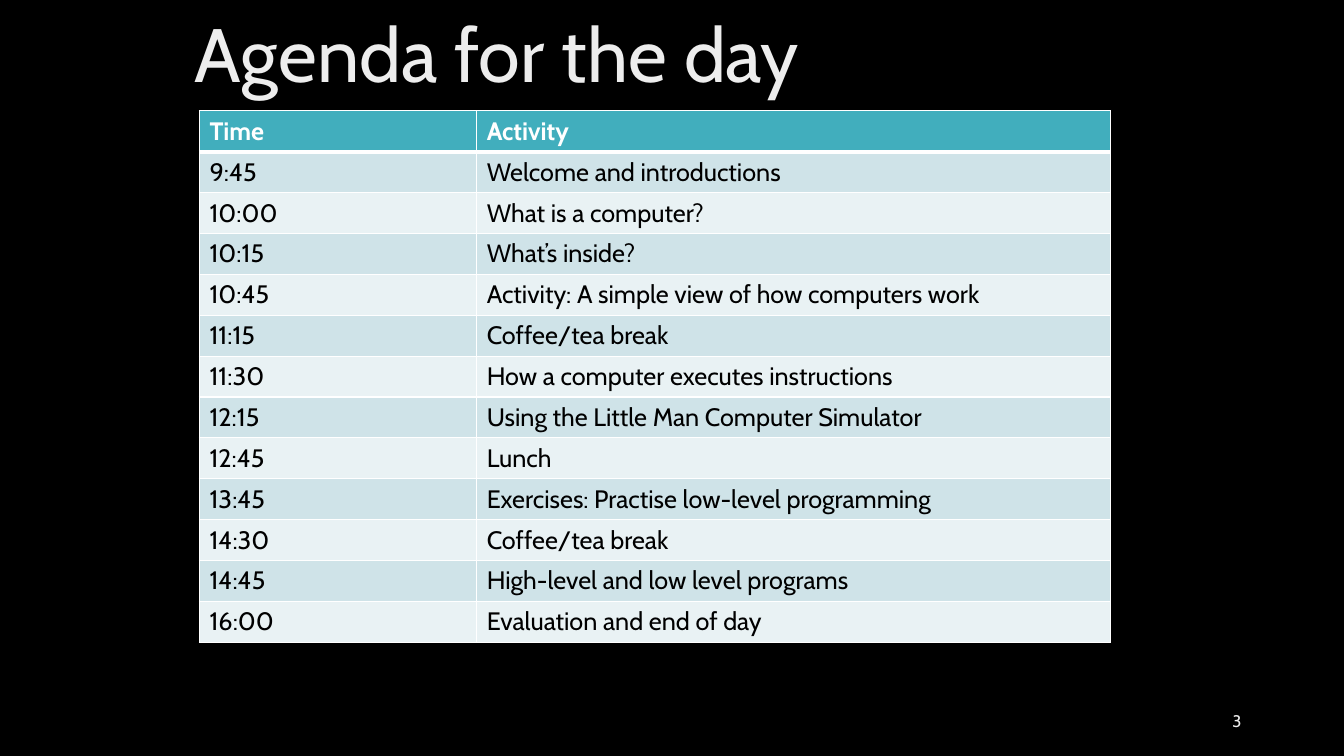
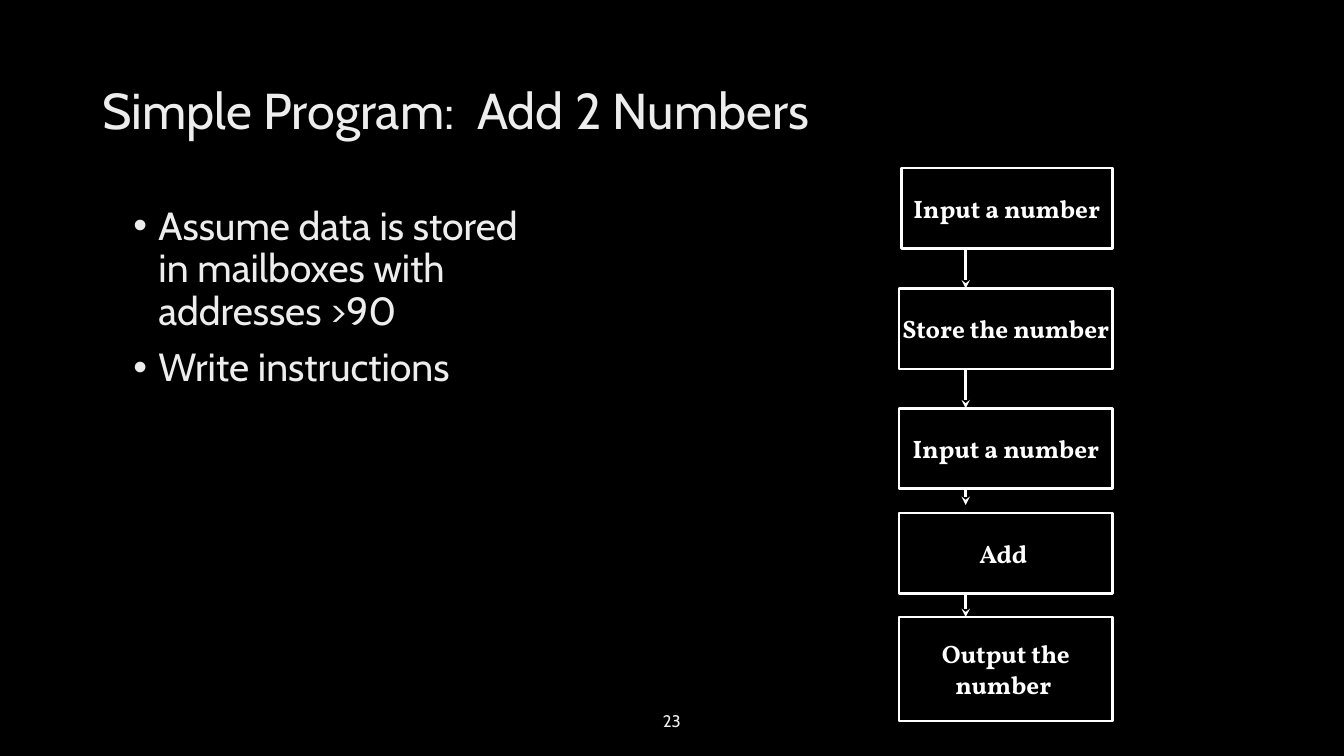
"""Build the agenda slide and the simple program slide."""
from pptx import Presentation
from pptx.dml.color import RGBColor
from pptx.enum.shapes import MSO_CONNECTOR, MSO_SHAPE
from pptx.enum.text import MSO_ANCHOR, MSO_AUTO_SIZE, PP_ALIGN
from pptx.oxml.ns import qn
from pptx.util import Pt
from lxml.etree import SubElement

BLACK = RGBColor(0, 0, 0)
WHITE = RGBColor(255, 255, 255)
PALE = RGBColor(0xED, 0xED, 0xED)
TEAL = RGBColor(0x41, 0xAE, 0xBD)
BAND_DARK = RGBColor(0xCF, 0xE3, 0xE8)
BAND_LIGHT = RGBColor(0xE9, 0xF2, 0xF4)
SANS, SERIF = "Cabin", "Vollkorn"


class Deck:
    """Hold the shared style and the current slide."""

    def __init__(self):
        """Set the slide size and the black background."""
        self.prs = Presentation()
        self.prs.slide_width, self.prs.slide_height = Pt(960), Pt(540)
        fill = self.prs.slide_master.background.fill
        fill.solid()
        fill.fore_color.rgb = BLACK

    def add_slide(self, layout):
        """Start a new slide."""
        self.s = self.prs.slides.add_slide(self.prs.slide_layouts[layout])

    def place(self, sp, x, y, w, h):
        """Move and size a placeholder."""
        sp.left, sp.top, sp.width, sp.height = Pt(x), Pt(y), Pt(w), Pt(h)
        sp.text_frame.auto_size = MSO_AUTO_SIZE.NONE

    def style(self, tf, size, color=PALE, font=SANS, bold=False, align=PP_ALIGN.LEFT):
        """Format every paragraph and run of a text frame."""
        for p in tf.paragraphs:
            p.alignment = align
            for r in p.runs:
                r.font.name, r.font.size, r.font.bold = font, Pt(size), bold
                r.font.color.rgb = color

    def title(self, text, x, y, size):
        """Fill the title placeholder."""
        sp = self.s.shapes.title
        self.place(sp, x, y, 828, 104.4)
        tf = sp.text_frame
        tf.text = text
        tf.vertical_anchor = MSO_ANCHOR.MIDDLE
        tf.paragraphs[0].line_spacing = 0.9
        self.style(tf, size)

    def bullets(self, items, x, y, w, h):
        """Fill the body placeholder with a bulleted list."""
        sp = self.s.placeholders[1]
        self.place(sp, x, y, w, h)
        tf = sp.text_frame
        tf.text = "\n".join(items)
        for p in tf.paragraphs:
            p.line_spacing, p.space_before = 0.9, Pt(10)
            pPr = p._p.get_or_add_pPr()
            pPr.set("marL", str(Pt(18)))
            pPr.set("indent", str(Pt(-18)))
            SubElement(pPr, qn("a:buFont"), typeface="Arial")
            SubElement(pPr, qn("a:buChar"), char="•")
        self.style(tf, 28)

    def number(self, text, x, w, align):
        """Write the slide number at the foot."""
        tf = self.s.shapes.add_textbox(Pt(x), Pt(500.4), Pt(w), Pt(28.8)).text_frame
        tf.word_wrap = True
        tf.text = text
        tf.vertical_anchor = MSO_ANCHOR.MIDDLE
        self.style(tf, 12, align=align)

    def border(self, cell, side, width):
        """Draw one white cell border."""
        ln = SubElement(cell._tc.get_or_add_tcPr(), qn("a:ln" + side), w=str(Pt(width)))
        fill = SubElement(ln, qn("a:solidFill"))
        SubElement(fill, qn("a:srgbClr"), val=str(WHITE))

    def table(self, rows, x, y, widths, row_height):
        """Add a table with a header row and banded rows."""
        tbl = self.s.shapes.add_table(len(rows), len(widths), Pt(x), Pt(y), Pt(sum(widths)),
                                      Pt(row_height * len(rows))).table
        for column, width in zip(tbl.columns, widths):
            column.width = Pt(width)
        for i, row in enumerate(rows):
            tbl.rows[i].height = Pt(row_height)
            header = i == 0
            color = TEAL if header else (BAND_LIGHT, BAND_DARK)[i % 2]
            for j, text in enumerate(row):
                cell = tbl.cell(i, j)
                cell.text = text
                for side in "LRTB":
                    thick = (i, side) in ((0, "B"), (1, "T"))
                    self.border(cell, side, 3 if thick else 1)
                cell.fill.solid()
                cell.fill.fore_color.rgb = color
                self.style(cell.text_frame, 18, WHITE if header else BLACK, bold=header)

    def box(self, text, x, y, w, h):
        """Add an outlined flowchart step."""
        sp = self.s.shapes.add_shape(MSO_SHAPE.RECTANGLE, Pt(x), Pt(y), Pt(w), Pt(h))
        sp.shadow.inherit = False
        sp.fill.background()
        sp.line.color.rgb, sp.line.width = WHITE, Pt(2)
        tf = sp.text_frame
        tf.word_wrap = False
        tf.text = text
        tf.vertical_anchor = MSO_ANCHOR.MIDDLE
        self.style(tf, 18, WHITE, SERIF, True, PP_ALIGN.CENTER)

    def arrow(self, x, top, bottom):
        """Add a downward arrow."""
        c = self.s.shapes.add_connector(MSO_CONNECTOR.STRAIGHT, Pt(x), Pt(top), Pt(x), Pt(bottom))
        c.line.color.rgb, c.line.width = WHITE, Pt(2)
        spPr = c._element.spPr
        SubElement(spPr.find(qn("a:ln")), qn("a:tailEnd"), type="stealth")
        SubElement(spPr, qn("a:effectLst"))


AGENDA = [
    ("Time", "Activity"),
    ("9:45", "Welcome and introductions"),
    ("10:00", "What is a computer?"),
    ("10:15", "What’s inside?"),
    ("10:45", "Activity: A simple view of how computers work"),
    ("11:15", "Coffee/tea break"),
    ("11:30", "How a computer executes instructions"),
    ("12:15", "Using the Little Man Computer Simulator"),
    ("12:45", "Lunch"),
    ("13:45", "Exercises: Practise low-level programming"),
    ("14:30", "Coffee/tea break"),
    ("14:45", "High-level and low level programs "),
    ("16:00", "Evaluation and end of day"),
]
STEPS = [
    ("Input a number", 643.7, 120, 150.8, 57.6),
    ("Store the number", 642.2, 206, 152.6, 57.6),
    ("Input a number", 642.2, 291.6, 152.6, 57.6),
    ("Add ", 642.2, 366.4, 152.6, 57.6),
    ("Output the\nnumber ", 642.2, 440.8, 152.6, 74.2),
]
ARROW_ENDS = [206, 291.6, 360.7, 440.8]

deck = Deck()

deck.add_slide(5)
deck.title("Agenda for the day", 132, -10.8, 54)
deck.table(AGENDA, 142.5, 79.2, (198, 453), 29.2)
deck.number("3", 678, 216, PP_ALIGN.RIGHT)

deck.add_slide(1)
deck.number("23", 318, 324, PP_ALIGN.CENTER)
deck.title("Simple Program:  Add 2 Numbers", 66, 28.8, 36)
deck.bullets(["Assume data is stored\vin mailboxes with\vaddresses >90", "Write instructions"],
             88, 144, 805.6, 342.7)
for step in STEPS:
    deck.box(*step)
for (_, _, top, _, height), end in zip(STEPS, ARROW_ENDS):
    deck.arrow(689.8, top + height, end)

deck.prs.save("out.pptx")
